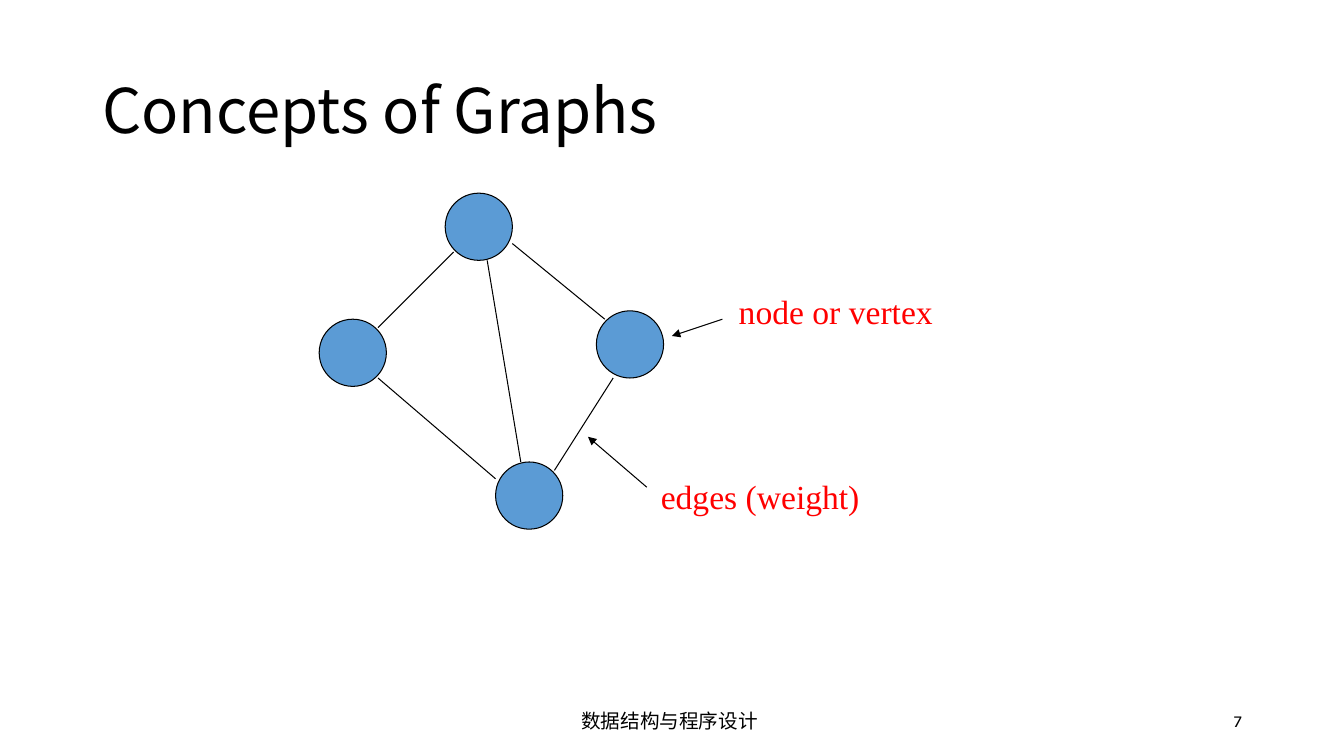
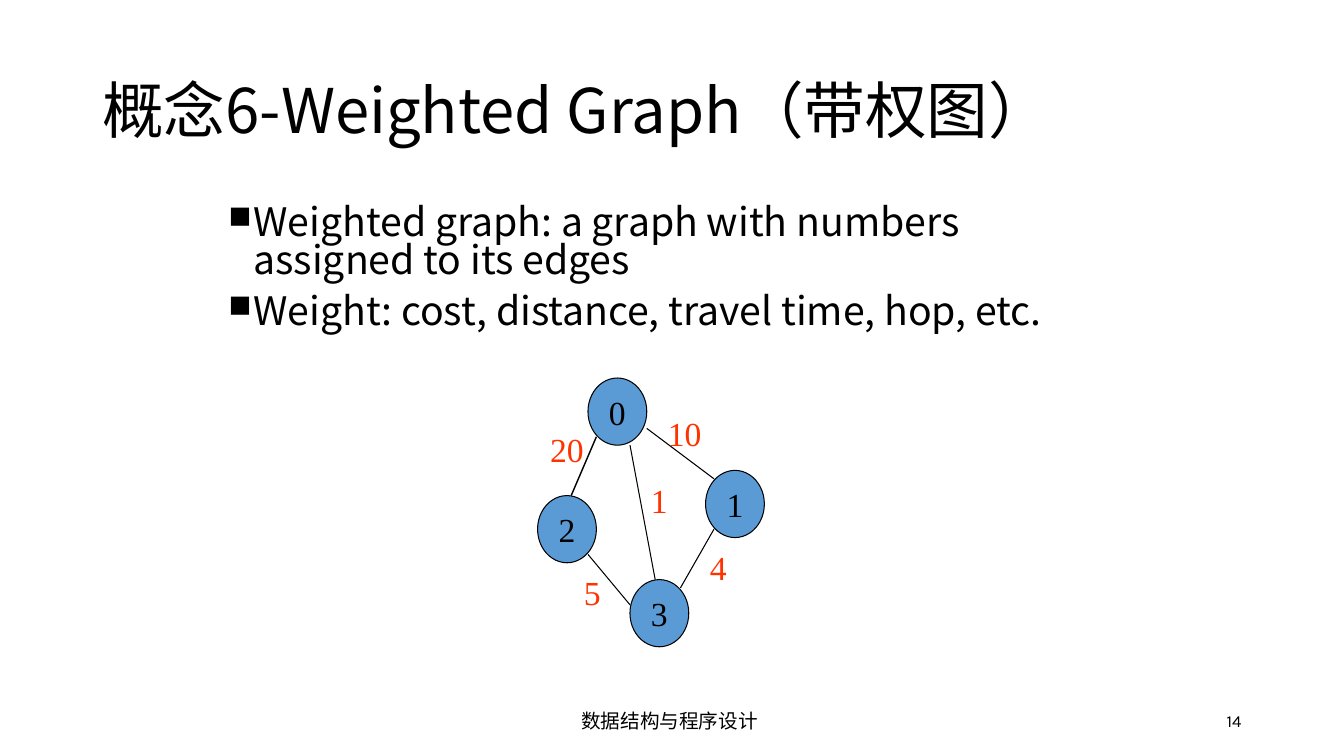
from lxml import etree
from pptx import Presentation
from pptx.dml.color import RGBColor
from pptx.enum.shapes import MSO_CONNECTOR, MSO_SHAPE
from pptx.enum.text import MSO_ANCHOR, PP_ALIGN
from pptx.oxml.ns import qn
from pptx.util import Cm, Pt

OVAL = MSO_SHAPE.OVAL
STRAIGHT = MSO_CONNECTOR.STRAIGHT
TOP, MIDDLE = MSO_ANCHOR.TOP, MSO_ANCHOR.MIDDLE
LEFT, CENTER, RIGHT = PP_ALIGN.LEFT, PP_ALIGN.CENTER, PP_ALIGN.RIGHT

COLORS = {"ink": "000000", "node": "5B9BD5", "label": "FF0000", "weight": "FF3300"}
SANS, SERIF, SMALL = "Noto Sans CJK SC", "Times New Roman", "Karla"
FOOTER = "数据结构与程序设计 "
UNIT = 2.54 / 12  # grid step in cm: the slide is 160 by 90 steps


def grid(*steps):
    return [Cm(n * UNIT) for n in steps]


def color(name):
    return RGBColor.from_string(COLORS[name])


class Deck:
    """Holds the shared style and the current slide."""

    def __init__(self):
        self.prs = Presentation()
        self.prs.slide_width, self.prs.slide_height = grid(160, 90)
        self.slide = None

    def new_slide(self, title, number):
        self.slide = self.prs.slides.add_slide(self.prs.slide_layouts[6])
        self.text(FOOTER, (53, 83.4, 54, 4.8), 14, SMALL)
        self.text(str(number), (113, 83.4, 36, 4.8), 12, SMALL, align=RIGHT)
        tf = self.text(title, (11, 4.8, 138, 17.4), 44, SANS, align=LEFT)
        tf.paragraphs[0].line_spacing = 0.9

    def style(self, p, size, font, ink="ink", align=CENTER):
        p.alignment = align
        for r in p.runs:
            r.font.size = Pt(size)
            r.font.name = font
            r.font.color.rgb = color(ink)
            etree.SubElement(r.font._element, qn("a:ea"), typeface=font)

    def text(self, text, box, size, font, ink="ink", align=CENTER):
        tf = self.slide.shapes.add_textbox(*grid(*box)).text_frame
        tf.word_wrap = True
        tf.vertical_anchor = MIDDLE
        tf.text = text
        for p in tf.paragraphs:
            self.style(p, size, font, ink, align)
        return tf

    def label(self, text, box, ink):
        tf = self.text(text, box, 24, SERIF, ink)
        tf.word_wrap = False
        tf.margin_left = tf.margin_right = Cm(0)

    def bullets(self, items, box):
        tf = self.text("\n".join(items), box, 28, SANS, align=LEFT)
        tf.vertical_anchor = TOP
        for i, p in enumerate(tf.paragraphs):
            p.line_spacing = 0.8
            p.space_before = Pt(10 if i else 0)
            pPr = p._p.get_or_add_pPr()
            indent = Cm(3 * UNIT)
            pPr.set("marL", str(indent))
            pPr.set("indent", str(-indent))
            etree.SubElement(pPr, qn("a:buSzPct"), val="80000")
            etree.SubElement(pPr, qn("a:buChar"), char="■")

    def node(self, x, y, width, text=""):
        sp = self.slide.shapes.add_shape(OVAL, *grid(x, y, width, 8))
        sp.shadow.inherit = False
        sp.fill.solid()
        sp.fill.fore_color.rgb = color("node")
        sp.line.color.rgb = color("ink")
        sp.line.width = Pt(0.75)
        if text:
            tf = sp.text_frame
            tf.word_wrap = False
            tf.vertical_anchor = MIDDLE
            tf.text = text
            self.style(tf.paragraphs[0], 24, SERIF)

    def line(self, start, end, width=0.75, arrow=False):
        cx = self.slide.shapes.add_connector(STRAIGHT, *grid(*start, *end))
        cx.line.color.rgb = color("ink")
        cx.line.width = Pt(width)
        if arrow:
            etree.SubElement(cx.line._get_or_add_ln(), qn("a:tailEnd"), type="triangle")
        etree.SubElement(cx._element.spPr, qn("a:effectLst"))


def concepts(deck):
    deck.new_slide("Concepts of Graphs", 7)
    # Graph
    for x, y in [(53, 23), (71, 37), (59, 55), (38, 38)]:
        deck.node(x, y, 8)
    for start, end in [((54, 30), (45, 39)), ((45, 45), (59, 57)),
                       ((66, 56), (73, 45)), ((58, 31), (62, 55)),
                       ((61, 29), (72, 38))]:
        deck.line(start, end)
    # Callouts
    for text, x, y, start, end in [
            ("edges (weight)", 78, 54, (77, 58), (70, 52)),
            ("node or vertex", 87, 32, (86, 38), (80, 40))]:
        deck.line(start, end, arrow=True)
        deck.label(text, (x, y, 25, 10), "label")


def weighted_graph(deck):
    deck.new_slide("概念6-Weighted Graph（带权图）", 14)
    deck.bullets(["Weighted graph: a graph with numbers assigned to its edges",
                  "Weight: cost, distance, travel time, hop, etc."],
                 (26, 24, 106, 17))
    # Nodes
    for text, x, y in [("0", 70, 45), ("1", 84, 56), ("3", 75, 69), ("2", 64, 59)]:
        deck.node(x, y, 7, text)
    # Edges with their weights
    for weight, x, y, start, end, width in [
            ("20", 65, 51, (71, 52), (68, 59), 1),
            ("5", 68, 68, (70, 66), (75, 72), 0.75),
            ("10", 79, 49, (77, 51), (85, 57), 0.75),
            ("4", 83, 65, (85, 63), (81, 70), 0.75),
            ("1", 76, 57, (75, 53), (78, 69), 0.75)]:
        deck.line(start, end, width)
        deck.label(weight, (x, y, 5, 5), "weight")


def main():
    deck = Deck()
    concepts(deck)
    weighted_graph(deck)
    deck.prs.save("out.pptx")


if __name__ == "__main__":
    main()
